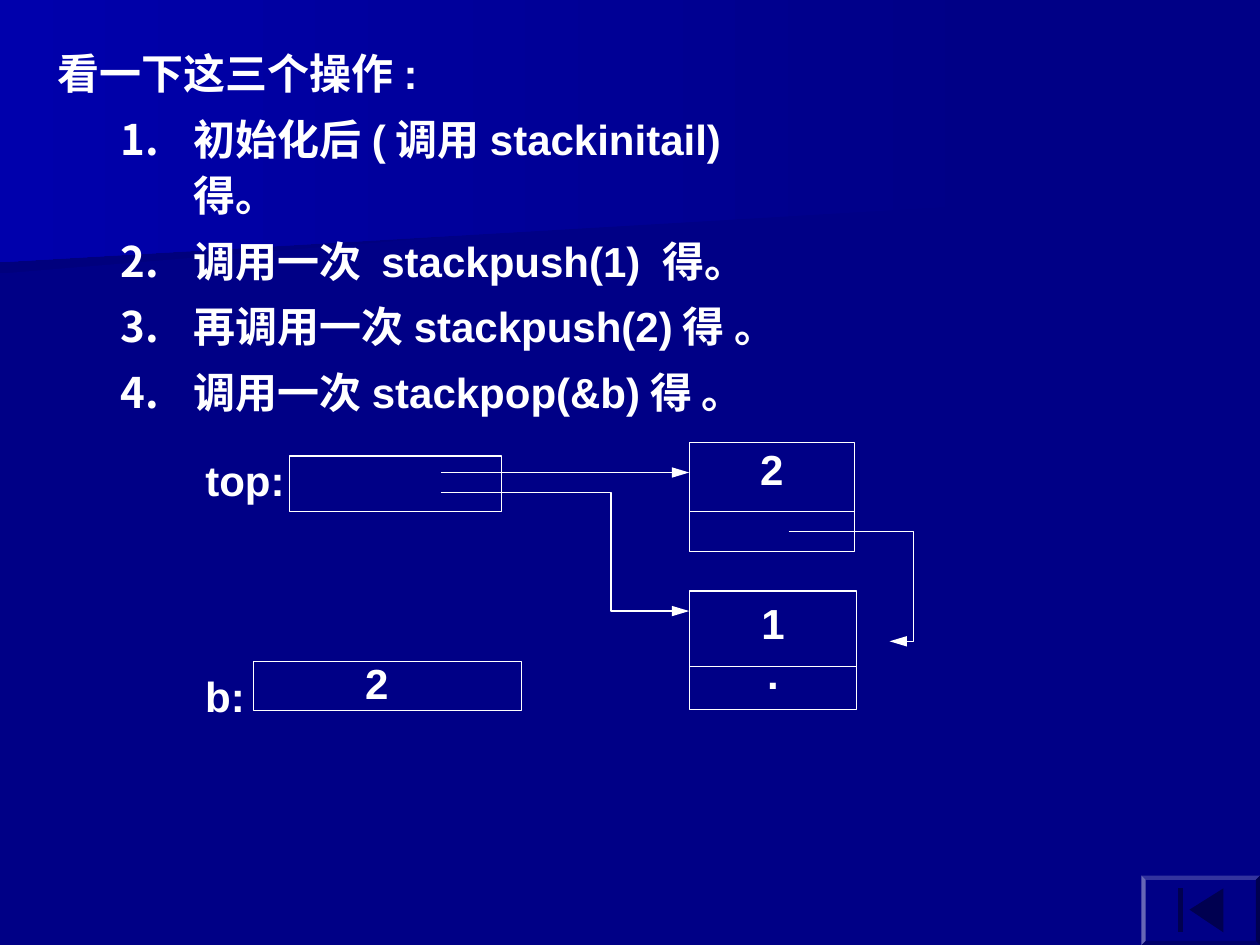
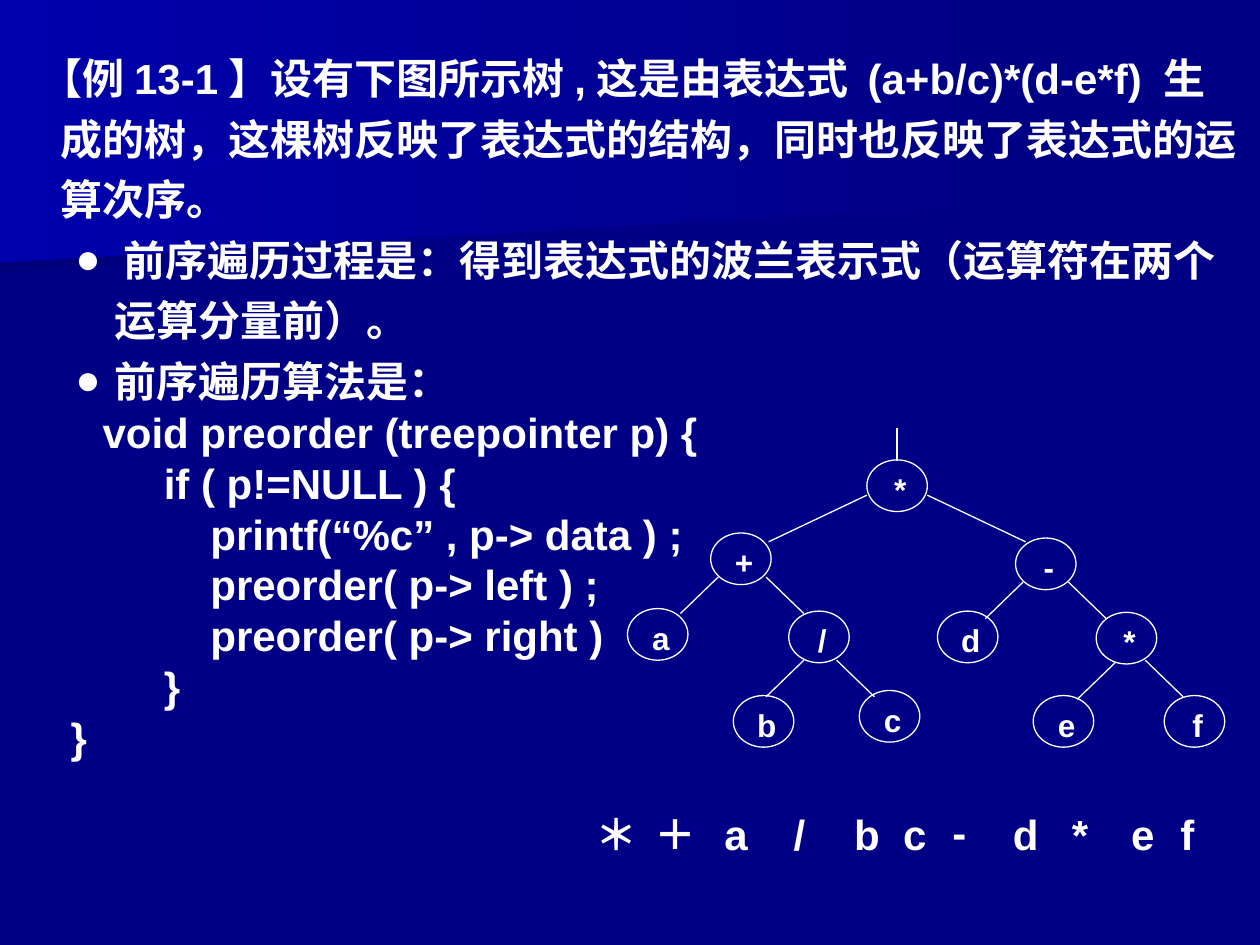
from dataclasses import dataclass

from lxml import etree
from pptx import Presentation
from pptx.dml.color import RGBColor
from pptx.enum import shapes as kinds, text as txt
from pptx.oxml.ns import qn
from pptx.util import Inches, Pt

HUES = {"base": "000086", "deep": "00007D", "glow": "0000AC", "icon": "000050", "ink": "FFFFFF"}
FACE = "Arial"
THIN = Pt(0.75)
Point = tuple[float, float]
Mark = tuple[str, str, str]  # bullet tag, attribute, value


@dataclass
class Para:
    text: str
    left: float = 0
    first: float = 0
    lead: float = 1
    before: float = 0
    marks: tuple[Mark, ...] = ()
    align: txt.PP_ALIGN = txt.PP_ALIGN.LEFT


@dataclass
class Box:
    x: float
    y: float
    wide: float
    high: float
    paras: list[Para]
    pads: tuple[float, float] = (0.1, 0.05)  # left and top inset
    size: float = 24


def hue(name: str) -> RGBColor:
    return RGBColor.from_string(HUES[name])


# Text
def write(shape, box: Box) -> None:
    frame = shape.text_frame
    frame.word_wrap = True
    frame.vertical_anchor = txt.MSO_ANCHOR.TOP
    left, top = box.pads
    frame.margin_left, frame.margin_top = Inches(left), Inches(top)
    frame.margin_right = Inches(left) if box.size == 24 else 0
    frame.margin_bottom = Inches(top)
    for i, para in enumerate(box.paras):
        line = frame.add_paragraph() if i else frame.paragraphs[0]
        line.text = para.text
        props = line._p.get_or_add_pPr()
        props.set("marL", str(Inches(para.left)))
        props.set("indent", str(Inches(para.first)))
        for tag, key, value in para.marks:
            etree.SubElement(props, qn(tag)).set(key, value)
        line.alignment, line.line_spacing = para.align, para.lead
        line.space_before = Pt(para.before if i else 0)
        font = line.font
        font.name, font.size, font.bold = FACE, Pt(box.size), True
        font.color.rgb = hue("ink")


def label(slide, box: Box) -> None:
    area = map(Inches, (box.x, box.y, box.wide, box.high))
    write(slide.shapes.add_textbox(*area), box)


# Shapes and lines
def frame(slide, kind, box: Box) -> None:
    area = map(Inches, (box.x, box.y, box.wide, box.high))
    shape = slide.shapes.add_shape(kind, *area)
    shape.shadow.inherit = False
    shape.fill.background()
    shape.line.color.rgb, shape.line.width = hue("ink"), THIN
    if box.paras:
        write(shape, box)


def tip(shape) -> None:
    tail = etree.SubElement(shape.line._get_or_add_ln(), qn("a:tailEnd"))
    tail.set("type", "triangle")
    tail.set("len", "lg")


def link(slide, start: Point, end: Point, arrow: bool = False) -> None:
    line = slide.shapes.add_connector(
        kinds.MSO_CONNECTOR.STRAIGHT, *map(Inches, (*start, *end)))
    line.line.color.rgb, line.line.width = hue("ink"), THIN
    if arrow:
        tip(line)
    etree.SubElement(line._element.spPr, qn("a:effectLst"))


def trace(slide, points: list[Point], close: bool):
    spots = [(Inches(x), Inches(y)) for x, y in points]
    pen = slide.shapes.build_freeform(*spots[0], scale=1.0)
    pen.add_line_segments(spots[1:], close=close)
    shape = pen.convert_to_shape()
    shape.shadow.inherit = False
    return shape


def elbow(slide, points: list[Point]) -> None:
    shape = trace(slide, points, False)
    shape.fill.background()
    shape.line.color.rgb, shape.line.width = hue("ink"), THIN
    tip(shape)


def patch(slide, points: list[Point], *names: str) -> None:
    shape = trace(slide, points, True)
    shape.line.fill.background()
    if len(names) == 1:
        shape.fill.solid()
        shape.fill.fore_color.rgb = hue(names[0])
        return
    shape.fill.gradient()
    shape.fill.gradient_angle = 180
    for stop, name in zip(shape.fill.gradient_stops, names):
        stop.color.rgb = hue(name)


# Shared backdrop
def start(deck):
    slide = deck.slides.add_slide(deck.slide_layouts[6])
    slide.background.fill.solid()
    slide.background.fill.fore_color.rgb = hue("base")
    patch(slide, [(7.78, 1.53), (0, 2.17), (0, 1.01), (7.79, 1.01)], "base", "deep")
    patch(slide, [(7.92, 1.62), (0, 2.08), (0, 0), (7.92, 0)], "base", "glow")
    return slide


def button(slide) -> None:
    shape = slide.shapes.add_shape(
        kinds.MSO_SHAPE.BEVEL, *map(Inches, (9.06, 6.95, 0.94, 0.55)))
    shape.shadow.inherit = False
    shape.adjustments[0] = 0.06
    shape.fill.solid()
    shape.fill.fore_color.rgb = hue("base")
    shape.line.fill.background()
    patch(slide, [(9.44, 7.22), (9.71, 7.05), (9.71, 7.4)], "icon")
    patch(slide, [(9.35, 7.05), (9.39, 7.05), (9.39, 7.4), (9.35, 7.4)], "icon")


# Slide 1: stack (\v is a line break)
STEPS = ["初始化后(调用stackinitail)\v得。", "调用一次 stackpush(1) 得。",
         "再调用一次stackpush(2)得 。", "调用一次stackpop(&b)得 。"]


def stack(deck) -> None:
    slide = start(deck)
    mid = txt.PP_ALIGN.CENTER
    rect = kinds.MSO_SHAPE.RECTANGLE
    number = (("a:buAutoNum", "type", "arabicPeriod"),)
    steps = [Para(step, 1.08, -0.58, 1.1, 6, number) for step in STEPS]
    head = Para("看一下这三个操作:", 0.67, -0.67, 1.1)
    label(slide, Box(0.36, 0.29, 6.06, 2.84, [head, *steps]))
    # Variables
    label(slide, Box(1.62, 3.6, 1.52, 0.47, [Para("top:")], (0.01, 0.01)))
    frame(slide, rect, Box(2.3, 3.62, 1.68, 0.44, []))
    frame(slide, rect, Box(2.01, 5.25, 2.13, 0.39, []))
    label(slide, Box(1.53, 5.27, 0.74, 0.35, [Para("b:")]))
    label(slide, Box(2.8, 5.17, 0.47, 0.5, [Para("2")]))
    # Nodes
    frame(slide, rect, Box(5.47, 4.69, 1.33, 0.94, [Para("1", align=mid), Para(".", align=mid)]))
    link(slide, (5.47, 5.29), (6.8, 5.29))
    frame(slide, rect, Box(5.47, 3.51, 1.31, 0.87, [Para("2", align=mid)], (0.01, 0.01)))
    link(slide, (5.47, 4.06), (6.78, 4.06))
    # Pointers
    link(slide, (3.5, 3.75), (5.47, 3.75), True)
    elbow(slide, [(6.26, 4.22), (7.25, 4.22), (7.25, 5.09), (7.06, 5.09)])
    elbow(slide, [(3.5, 3.91), (4.85, 3.91), (4.85, 4.85), (5.47, 4.85)])
    button(slide)


# Slide 2: tree
INTRO = ("【例13-1】设有下图所示树,这是由表达式 (a+b/c)*(d-e*f) 生成的树，"
         "这棵树反映了表达式的结构，同时也反映了表达式的运算次序。")
POINTS = [" 前序遍历过程是：得到表达式的波兰表示式（运算符在两个运算分量前）。",
          "前序遍历算法是："]
CODE = """\
　    void preorder (treepointer p) {
             if ( p!=NULL ) {
                 printf(“%c” , p-> data ) ;
                 preorder( p-> left ) ;
                 preorder( p-> right )
             }
     }"""
NODES = [("*", 6.88, 3.65), ("+", 5.64, 4.23), ("-", 8.06, 4.27), ("a", 4.98, 4.83),
         ("/", 6.26, 4.85), ("d", 7.44, 4.85), ("*", 8.7, 4.86), ("b", 5.82, 5.52),
         ("c", 6.82, 5.48), ("e", 8.2, 5.52), ("f", 9.24, 5.52)]
# Start of each branch and its run to the side and down
EDGES = [(7.12, 3.4, 0, 0.26), (6.88, 3.93, -0.78, 0.37), (7.36, 3.93, 0.78, 0.37)] + [
    (x, y, side, 0.29) for x, y, side in [
        (5.7, 4.58, -0.3), (6.08, 4.58, 0.3), (6.38, 5.24, -0.3), (6.64, 5.24, 0.3),
        (8.12, 4.62, -0.3), (8.48, 4.62, 0.3), (8.85, 5.26, -0.3), (9.09, 5.24, 0.3)]]
ORDER = list(zip("＊＋a/bc-d*ef",
                 (4.63, 5.1, 5.65, 6.2, 6.68, 7.07, 7.46, 7.94, 8.41, 8.88, 9.27)))


def tree(deck) -> None:
    slide = start(deck)
    dot = (("a:buFont", "typeface", FACE), ("a:buChar", "char", "●"))
    paras = [Para(INTRO, 0.38, -0.16, 1.2)]
    paras += [Para(point, 0.81, -0.31, 1.2, 0, dot) for point in POINTS]
    paras += [Para(line, 0.38, -0.38, 0.8, 6) for line in CODE.splitlines()]
    label(slide, Box(0, 0.29, 10, 6.61, paras))
    for name, x, y in NODES:
        sign = Para(name, align=txt.PP_ALIGN.CENTER)
        frame(slide, kinds.MSO_SHAPE.OVAL, Box(x, y, 0.48, 0.41, [sign], (0.05, 0.02), 18))
    for x, y, side, down in EDGES:
        link(slide, (x, y), (x + side, y + down))
    # Preorder result
    for sign, x in ORDER:
        label(slide, Box(x, 6.35 if sign == "-" else 6.37, 0.47, 0.5, [Para(sign)]))


def main() -> None:
    deck = Presentation()
    deck.slide_width, deck.slide_height = Inches(10), Inches(7.5)
    stack(deck)
    tree(deck)
    deck.save("out.pptx")


if __name__ == "__main__":
    main()
